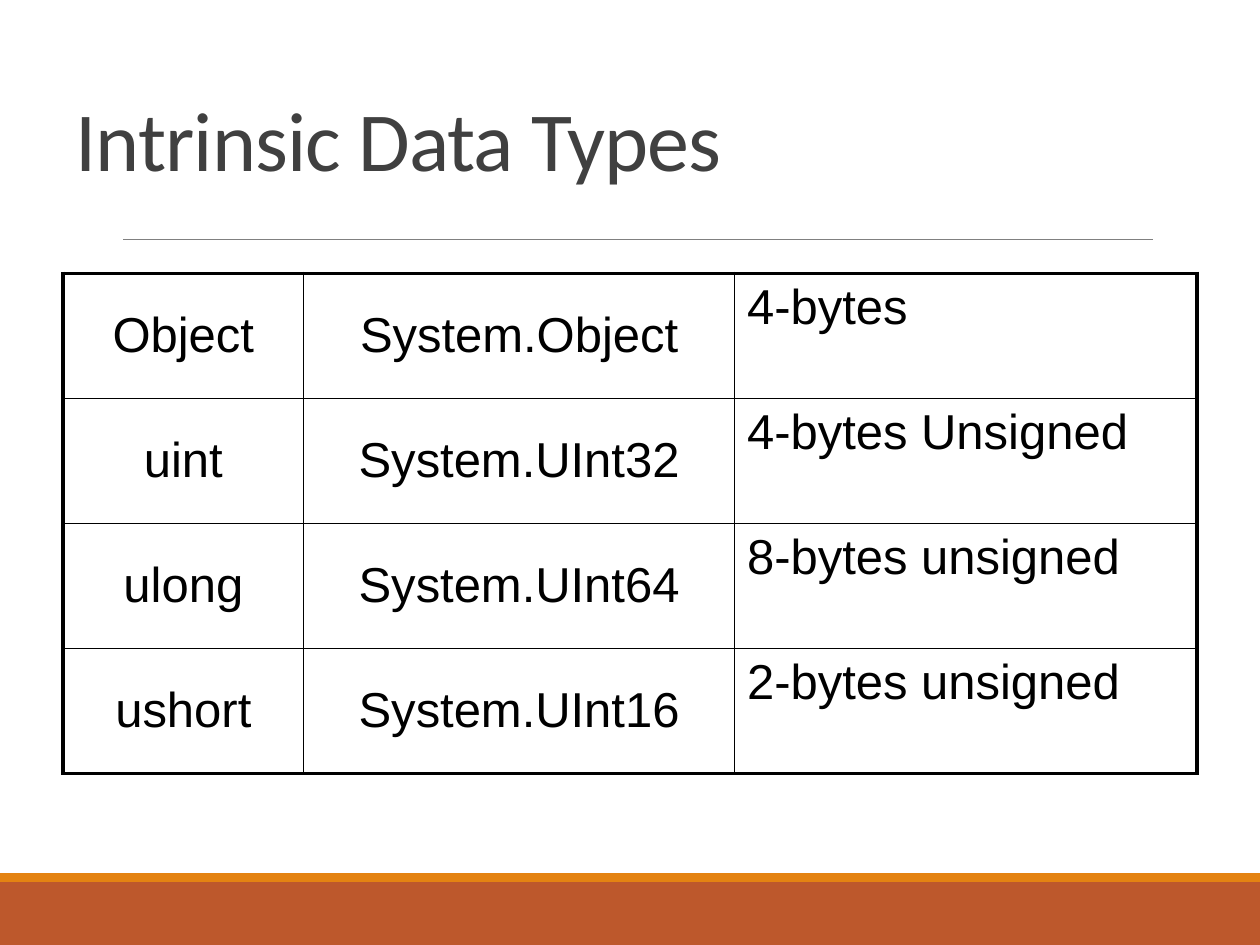
"""Build the slide on intrinsic data types."""
import dataclasses
import typing

import lxml.etree
import pptx
import pptx.dml.color
import pptx.enum.shapes
import pptx.enum.text
import pptx.oxml.ns
import pptx.util

ALIGN = pptx.enum.text.PP_ALIGN
ANCHOR = pptx.enum.text.MSO_ANCHOR
QN = pptx.oxml.ns.qn
WIDE, HIGH = 10, 7.5


@dataclasses.dataclass(frozen=True)
class Theme:
    """Hold the colours, fonts, type sizes and line widths."""
    ink: str = "000000"
    title: str = "404040"
    rule: str = "808080"
    base: str = "BD582C"
    trim: str = "E48312"
    head: str = "Calibri"
    body: str = "Arial"
    big: float = 48
    mid: float = 28
    thick: float = 2.25
    thin: float = 1
    hair: float = 0.5


class Box(typing.NamedTuple):
    """Give a place in shares of the slide's size."""
    x: float
    y: float
    w: float
    h: float

    def emu(self) -> list[int]:
        """Return left, top, width and height as lengths."""
        sides = (WIDE, HIGH, WIDE, HIGH)
        return [pptx.util.Inches(part * side) for part, side in zip(self, sides)]


class Band(typing.NamedTuple):
    """Describe one filled bar."""
    box: Box
    fill: str


class Col(typing.NamedTuple):
    """Describe one table column by its share of the table."""
    share: float
    align: ALIGN
    anchor: ANCHOR


THEME = Theme()
BANDS = (
    Band(Box(0, 7 / HIGH, 1, 0.5 / HIGH), THEME.base),
    Band(Box(0, 6.93 / HIGH, 1, 0.07 / HIGH), THEME.trim),
)
RULE = Box(0.098, 1.9 / HIGH, 0.817, 0)
TITLE = Box(0.05, 0.04, 0.9, 1.25 / HIGH)
GRID = Box(0.05, 2.17 / HIGH, 0.9, 3.97 / HIGH)
COLS = (
    Col(1.91 / 9, ALIGN.CENTER, ANCHOR.MIDDLE),
    Col(3.42 / 9, ALIGN.CENTER, ANCHOR.MIDDLE),
    Col(3.67 / 9, ALIGN.LEFT, ANCHOR.TOP),
)
ROWS = (
    ("Object", "System.Object", "4-bytes"),
    ("uint", "System.UInt32", "4-bytes Unsigned"),
    ("ulong", "System.UInt64", "8-bytes unsigned"),
    ("ushort", "System.UInt16", "2-bytes unsigned"),
)


def tint(code: str) -> pptx.dml.color.RGBColor:
    """Turn a hex code into a colour."""
    return pptx.dml.color.RGBColor.from_string(code)


def write(frame, text: str, *, font: str, size: float, color: str,
          align: ALIGN = ALIGN.LEFT, lead: float = 1, track: float = 0) -> None:
    """Write one formatted paragraph into a text frame."""
    frame.word_wrap = True
    para = frame.paragraphs[0]
    para.alignment, para.line_spacing = align, lead
    run = para.add_run()
    run.text = text
    run.font.name, run.font.size = font, pptx.util.Pt(size)
    run.font.color.rgb = tint(color)
    if track:
        run.font._element.set("spc", str(round(track * 100)))


def bar(shapes, band: Band) -> None:
    """Draw one filled bar."""
    kind = pptx.enum.shapes.MSO_SHAPE.RECTANGLE
    shape = shapes.add_shape(kind, *band.box.emu())
    shape.shadow.inherit = False
    shape.fill.solid()
    shape.fill.fore_color.rgb = tint(band.fill)
    shape.line.fill.background()


def rule(shapes, box: Box) -> None:
    """Draw the thin line below the title."""
    x, y, w, h = box.emu()
    kind = pptx.enum.shapes.MSO_CONNECTOR.STRAIGHT
    line = shapes.add_connector(kind, x, y, x + w, y + h)
    line.line.width = pptx.util.Pt(THEME.hair)
    line.line.color.rgb = tint(THEME.rule)
    lxml.etree.SubElement(line._element.spPr, QN("a:effectLst"))


def title(shapes, text: str) -> None:
    """Set the slide's title."""
    frame = shapes.add_textbox(*TITLE.emu()).text_frame
    frame.vertical_anchor = ANCHOR.BOTTOM
    write(frame, text, font=THEME.head, size=THEME.big, color=THEME.title,
          lead=0.85, track=-0.5)


def edge(cell, outer: dict[str, bool]) -> None:
    """Border a cell, with thick lines on the table's outer sides."""
    props = cell._tc.get_or_add_tcPr()
    for spot, (side, out) in enumerate(outer.items()):
        width = pptx.util.Pt(THEME.thick if out else THEME.thin)
        line = lxml.etree.Element(QN(f"a:ln{side}"), w=str(width))
        fill = lxml.etree.SubElement(line, QN("a:solidFill"))
        lxml.etree.SubElement(fill, QN("a:srgbClr"), val=THEME.ink)
        props.insert(spot, line)


def table(shapes) -> None:
    """Draw the table of types."""
    grid = shapes.add_table(len(ROWS), len(COLS), *GRID.emu()).table
    grid.first_row = grid.horz_banding = False
    for c, col in enumerate(COLS):
        grid.columns[c].width = pptx.util.Inches(GRID.w * WIDE * col.share)
        for r, row in enumerate(ROWS):
            cell = grid.cell(r, c)
            cell.fill.background()
            cell.vertical_anchor = col.anchor
            write(cell.text_frame, row[c], font=THEME.body, size=THEME.mid,
                  color=THEME.ink, align=col.align)
            edge(cell, {"L": c == 0, "R": c == len(COLS) - 1,
                        "T": r == 0, "B": r == len(ROWS) - 1})


def main() -> None:
    """Build and save the slide."""
    deck = pptx.Presentation()
    deck.slide_width = pptx.util.Inches(WIDE)
    deck.slide_height = pptx.util.Inches(HIGH)
    shapes = deck.slides.add_slide(deck.slide_layouts[6]).shapes
    for band in BANDS:
        bar(shapes, band)
    rule(shapes, RULE)
    title(shapes, "Intrinsic Data Types")
    table(shapes)
    deck.save("out.pptx")


if __name__ == "__main__":
    main()
